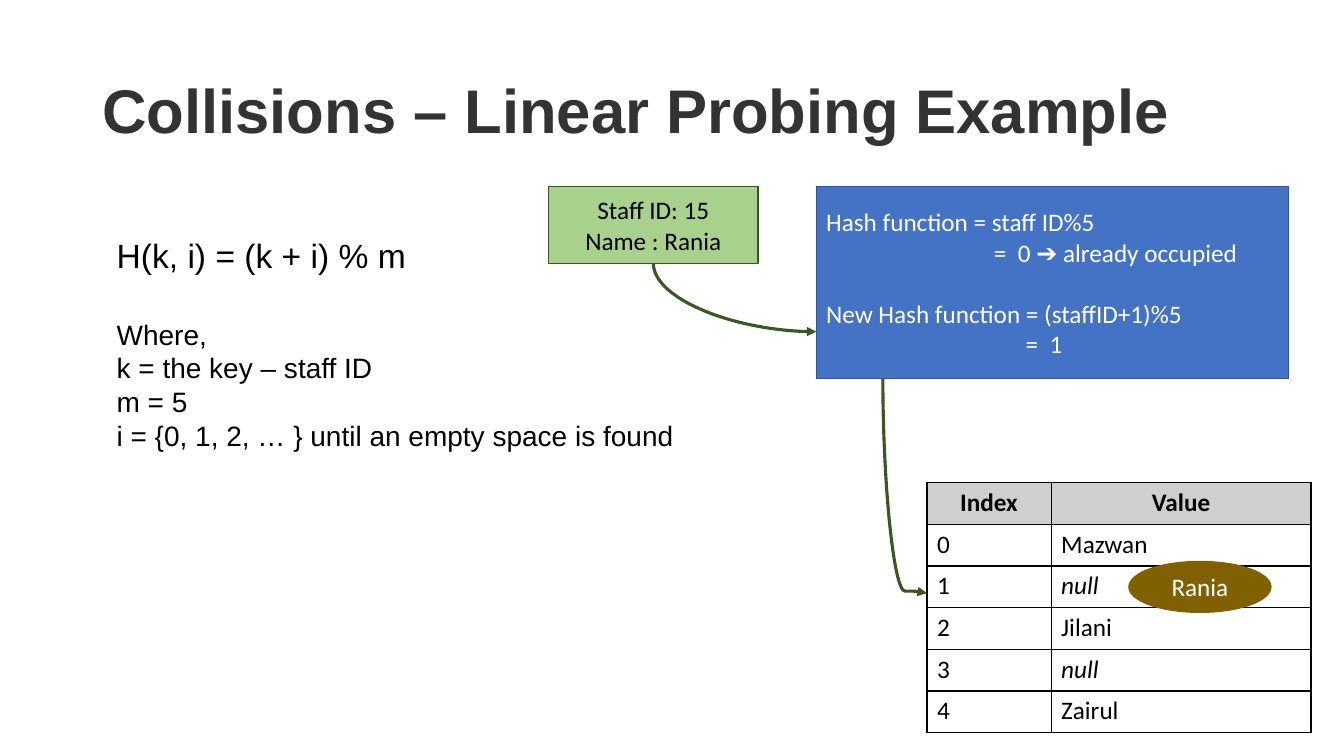
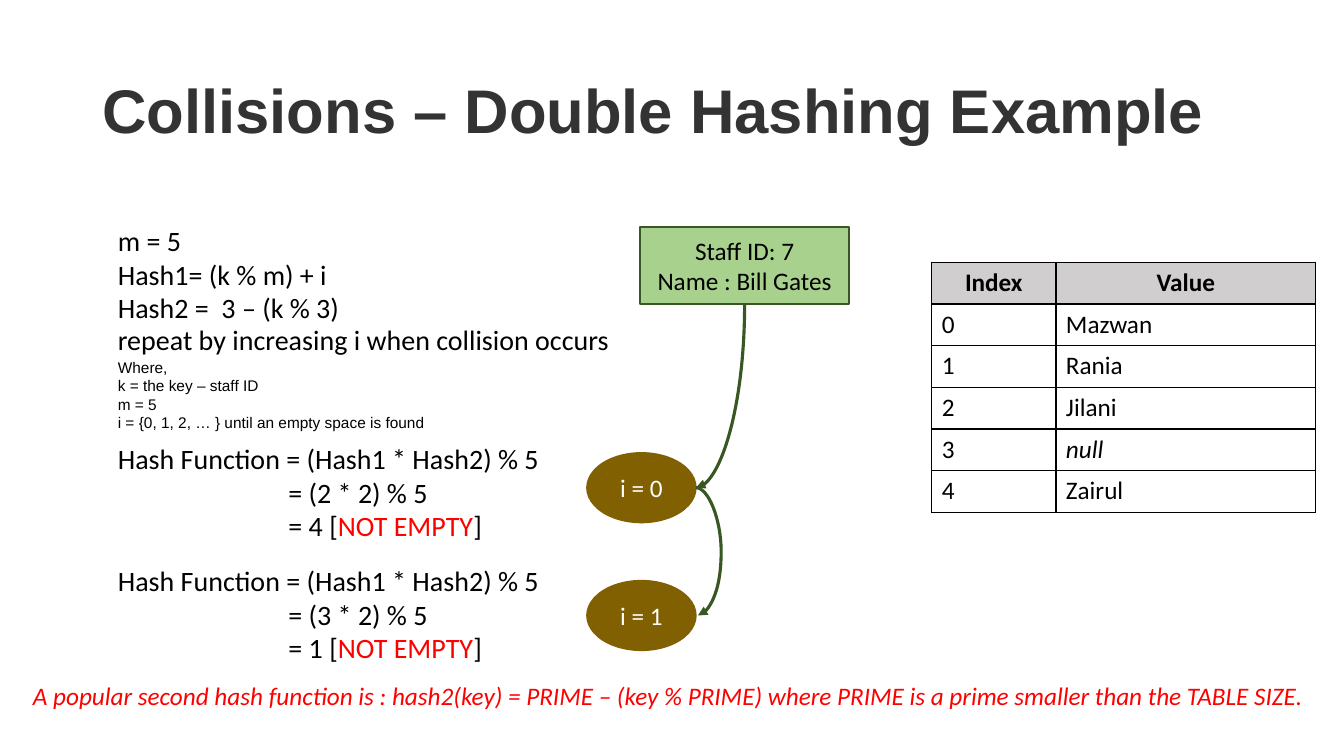
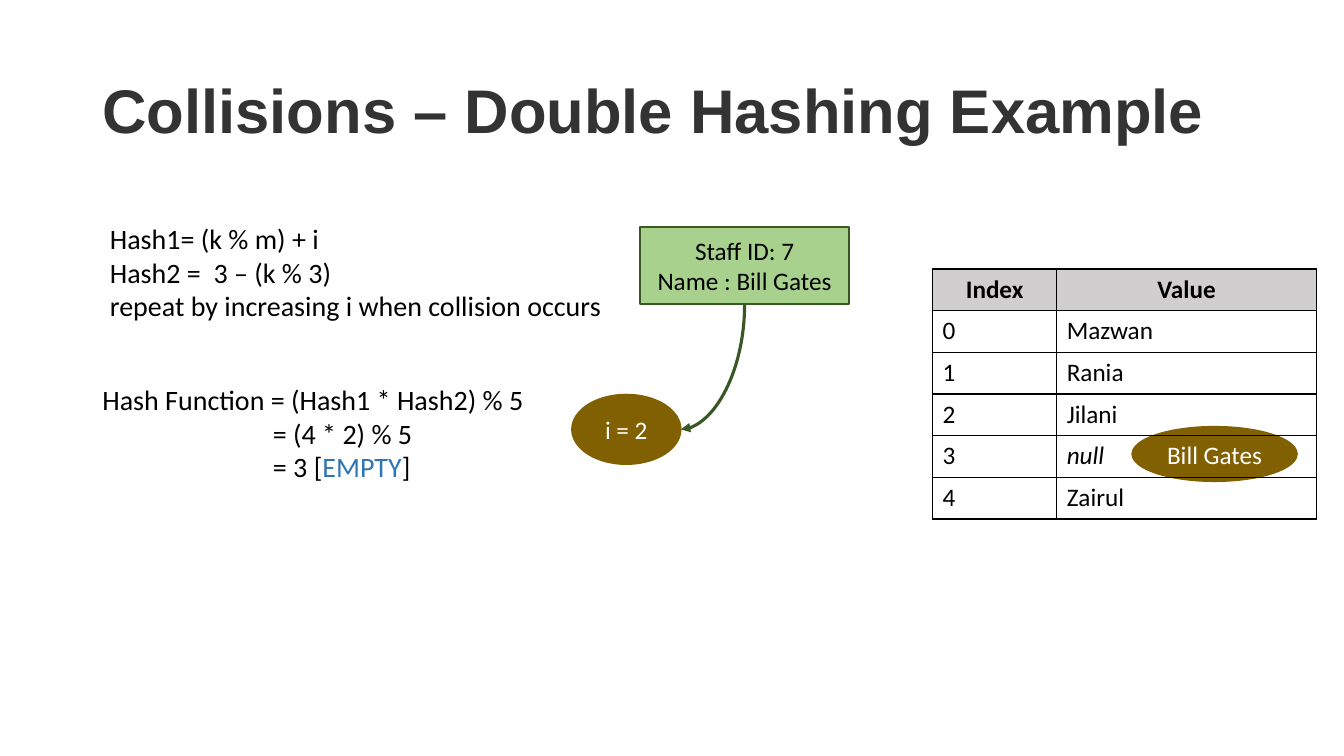
from dataclasses import dataclass
from typing import NamedTuple, Optional, Sequence, Union

from lxml import etree
from pptx import Presentation
from pptx import util as u
from pptx.dml.color import RGBColor
from pptx.enum import shapes, text
from pptx.oxml import ns

Cm = u.Cm
COLORS = {
    "ink": "000000", "title": "333333", "white": "FFFFFF", "red": "FF0000",
    "blue": "2E75B6", "header": "D0CECE", "card": "A9D18E", "green": "385723",
    "panel": "4472C4", "panel_line": "325491", "brown": "806000",
}
CENTER = text.PP_ALIGN.CENTER
EQUALS_INDENT = 4.3
BADGE_SIZE = (2.75, 1.76)
CARD_SIZE = (5.27, 1.94)
FORMULA_SIZE = (11.23, 2.82)
DOUBLE_HASH = ["Hash1= (k % m) + i", "Hash2 =  3 – (k % 3)"]
REPEAT = "repeat by increasing i when collision occurs"
WHERE = ["Where,", "k = the key – staff ID", "m = 5",
         "i = {0, 1, 2, … } until an empty space is found"]


class Box(NamedTuple):
    """Left, top, width and height in centimetres."""
    left: float
    top: float
    width: float
    height: float

    def lengths(self) -> list:
        return [Cm(value) for value in self]


class Point(NamedTuple):
    x: float
    y: float


class Run(NamedTuple):
    text: str
    color: Optional[str] = None


@dataclass
class Line:
    runs: Sequence[Run]
    indent: float = 0
    before: float = 0


@dataclass
class ShapeStyle:
    preset: shapes.MSO_SHAPE
    fill: str
    line: str
    color: str
    align: Optional[text.PP_ALIGN] = CENTER
    margin: float = 0.25


CARD = ShapeStyle(shapes.MSO_SHAPE.RECTANGLE, "card", "green", "ink")
PANEL = ShapeStyle(shapes.MSO_SHAPE.RECTANGLE, "panel", "panel_line", "white", None)
BADGE = ShapeStyle(shapes.MSO_SHAPE.OVAL, "brown", "brown", "white", margin=0)

Lines = Sequence[Union[str, Line]]


def rgb(name: str) -> RGBColor:
    return RGBColor.from_string(COLORS[name])


def write(frame, lines: Lines, *, size: float = 18, font: str = "Calibri",
          color: str = "ink", bold: bool = False, italic: bool = False,
          align=None, spacing: Optional[float] = None) -> None:
    """Fill a text frame, one paragraph for each line."""
    for number, entry in enumerate(lines):
        line = Line([Run(entry)]) if isinstance(entry, str) else entry
        paragraph = frame.add_paragraph() if number else frame.paragraphs[0]
        paragraph.alignment = align
        if spacing:
            paragraph.line_spacing = spacing
        if line.before:
            paragraph.space_before = u.Pt(line.before)
        if line.indent:
            properties = paragraph._p.get_or_add_pPr()
            properties.set("marL", str(Cm(line.indent)))
            properties.set("indent", "0")
        for part in line.runs:
            run = paragraph.add_run()
            run.text = part.text
            run.font.name = font
            run.font.size = u.Pt(size)
            run.font.bold = bold
            run.font.italic = italic
            run.font.color.rgb = rgb(part.color or color)


def add_text(slide, box: Box, lines: Lines, *, anchor=text.MSO_ANCHOR.TOP, **style) -> None:
    frame = slide.shapes.add_textbox(*box.lengths()).text_frame
    frame.word_wrap = True
    frame.vertical_anchor = anchor
    write(frame, lines, **style)


def add_shape(slide, box: Box, style: ShapeStyle, lines: Lines) -> None:
    shape = slide.shapes.add_shape(style.preset, *box.lengths())
    shape.shadow.inherit = False
    shape.fill.solid()
    shape.fill.fore_color.rgb = rgb(style.fill)
    shape.line.color.rgb = rgb(style.line)
    shape.line.width = u.Pt(1)
    frame = shape.text_frame
    frame.word_wrap = True
    frame.vertical_anchor = text.MSO_ANCHOR.MIDDLE
    frame.margin_left = frame.margin_right = Cm(style.margin)
    write(frame, lines, color=style.color, align=style.align or text.PP_ALIGN.LEFT)


def add_card(slide, left: float, top: float, staff_id: int, name: str) -> Point:
    """Draw a staff card and return the middle of its lower edge."""
    width, height = CARD_SIZE
    add_shape(slide, Box(left, top, width, height), CARD,
              [f"Staff ID: {staff_id}", f"Name : {name}"])
    return Point(left + width / 2, top + height)


def add_badge(slide, left: float, top: float, step: int) -> Point:
    """Draw a probe step and return the middle of its right edge."""
    width, height = BADGE_SIZE
    add_shape(slide, Box(left, top, width, height), BADGE, [f"i = {step}"])
    return Point(left + width, top + height / 2)


def add_formula(slide, left: float, top: float, step: int, result: int,
                state: str, color: str) -> None:
    add_text(slide, Box(left, top, *FORMULA_SIZE), [
        "Hash Function = (Hash1 * Hash2) % 5",
        Line([Run(f"= ({step + 2} * 2) % 5")], EQUALS_INDENT),
        Line([Run(f"= {result} ["), Run(state, color), Run("]")], EQUALS_INDENT),
    ], size=20)


def add_curve(slide, start: Point, end: Point, *, downward: bool = True,
              bend: Optional[float] = None) -> None:
    """Draw a curved arrow; bend places the middle of an S or C curve."""
    connector = slide.shapes.add_connector(
        shapes.MSO_CONNECTOR.CURVE, *[Cm(value) for value in (*start, *end)])
    connector.line.color.rgb = rgb("green")
    connector.line.width = u.Pt(2.25)
    properties = connector._element.spPr
    etree.SubElement(properties.find(ns.qn("a:ln")), ns.qn("a:tailEnd"), type="triangle")
    etree.SubElement(properties, ns.qn("a:effectLst"))

    geometry = properties.find(ns.qn("a:prstGeom"))
    if bend is None:
        geometry.set("prst", "curvedConnector2")
    else:
        guides = geometry.find(ns.qn("a:avLst"))
        if guides is None:
            guides = etree.SubElement(geometry, ns.qn("a:avLst"))
        etree.SubElement(guides, ns.qn("a:gd"), name="adj1",
                         fmla=f"val {round(bend * 100000)}")

    # A curve that leaves downward is a quarter turn about its centre
    if downward:
        width, height = abs(end.x - start.x), abs(end.y - start.y)
        connector.left = Cm((start.x + end.x - height) / 2)
        connector.top = Cm((start.y + end.y - width) / 2)
        connector.width, connector.height = Cm(height), Cm(width)
        frame = properties.find(ns.qn("a:xfrm"))
        frame.attrib.pop("flipH", None)
        rightward = end.x > start.x
        frame.set("rot", str((270 if rightward else 90) * 60000))
        if rightward:
            frame.set("flipH", "1")


def add_borders(cell) -> None:
    properties = cell._tc.get_or_add_tcPr()
    for position, side in enumerate(("lnL", "lnR", "lnT", "lnB")):
        border = etree.Element(ns.qn(f"a:{side}"), w=str(u.Pt(1)))
        fill = etree.SubElement(border, ns.qn("a:solidFill"))
        etree.SubElement(fill, ns.qn("a:srgbClr"), val=COLORS["ink"])
        properties.insert(position, border)


def add_hash_table(slide, left: float, top: float, values: Sequence[str]) -> None:
    widths, row_height = (3.13, 6.55), 1.05
    rows = [("Index", "Value"), *((str(i), value) for i, value in enumerate(values))]
    box = Box(left, top, sum(widths), row_height * len(rows))
    table = slide.shapes.add_table(len(rows), len(widths), *box.lengths()).table
    table.first_row = table.horz_banding = False
    for column, width in zip(table.columns, widths):
        column.width = Cm(width)
    for row_number, row in enumerate(rows):
        is_header = row_number == 0
        table.rows[row_number].height = Cm(row_height)
        for column_number, value in enumerate(row):
            cell = table.cell(row_number, column_number)
            if is_header:
                cell.fill.solid()
                cell.fill.fore_color.rgb = rgb("header")
            else:
                cell.fill.background()
            add_borders(cell)
            write(cell.text_frame, [value], bold=is_header, italic=value == "null",
                  align=CENTER if is_header else None)


def add_slide(presentation, title: str):
    slide = presentation.slides.add_slide(presentation.slide_layouts[6])
    add_text(slide, Box(2.33, 1.01, 29.21, 3.68), [title],
             anchor=text.MSO_ANCHOR.MIDDLE, size=44, font="Arial",
             color="title", bold=True, spacing=0.9)
    return slide


def linear_probing(presentation) -> None:
    slide = add_slide(presentation, "Collisions – Linear Probing Example")
    # Definition
    add_text(slide, Box(2.69, 5.79, 7.87, 1.28), ["H(k, i) = (k + i) % m"],
             size=24, font="Arial")
    add_text(slide, Box(2.69, 7.87, 14.63, 3.68), WHERE, size=20, font="Arial")
    # Table, staff card and calculation
    table_left = 23.36
    add_hash_table(slide, table_left, 12.16, ["Mazwan", "null", "Jilani", "null", "Zairul"])
    card_bottom = add_card(slide, 13.83, 4.7, 15, "Rania")
    panel = Box(20.57, 4.7, 11.91, 4.84)
    add_shape(slide, panel, PANEL, [
        "Hash function = staff ID%5",
        Line([Run("=  0 ➔ already occupied")], 4.23),
        Line([Run("New Hash function = (staffID+1)%5")], before=22),
        Line([Run("=  1")], 5.03),
    ])
    # Path to the free row
    add_curve(slide, card_bottom, Point(panel.left, 8.36))
    add_curve(slide, Point(22.25, panel.top + panel.height),
              Point(table_left, 14.95), bend=0.99)
    add_shape(slide, Box(28.45, 14.15, 3.58, 1.28), BADGE, ["Rania"])


def double_hashing_collisions(presentation) -> None:
    slide = add_slide(presentation, "Collisions – Double Hashing Example")
    left = 2.72
    add_hash_table(slide, 23.48, 6.61, ["Mazwan", "Rania", "Jilani", "null", "Zairul"])
    card_bottom = add_card(slide, 16.13, 5.72, 7, "Bill Gates")
    # Definition
    add_text(slide, Box(left, 5.51, 6.15, 2.82), ["m = 5", *DOUBLE_HASH], size=20)
    add_text(slide, Box(left, 8, 13, 1.11), [REPEAT], size=20)
    add_text(slide, Box(left, 8.89, 10.57, 2.13), WHERE, size=11, font="Arial")
    # Two probes, both on occupied rows
    probes = []
    for step, result in enumerate((4, 1)):
        add_formula(slide, left, 11 + 3.08 * step, step, result, "NOT EMPTY", "red")
        probes.append(add_badge(slide, 14.79, 11.41 + 3.22 * step, step))
    first, second = probes
    add_curve(slide, card_bottom, first)
    add_curve(slide, first, Point(second.x + 0.05, second.y), downward=False, bend=12.7)
    add_text(slide, Box(0.58, 17.01, 32.57, 1.02), [
        "A popular second hash function is : hash2(key) = PRIME – (key % PRIME) "
        "where PRIME is a prime smaller than the TABLE SIZE."], color="red", italic=True)


def double_hashing_result(presentation) -> None:
    slide = add_slide(presentation, "Collisions – Double Hashing Example")
    add_text(slide, Box(2.52, 5.46, 13, 2.82), [*DOUBLE_HASH, REPEAT], size=20)
    add_formula(slide, 2.33, 9.52, 2, 3, "EMPTY", "blue")
    # The new name lies behind the table's grid
    add_shape(slide, Box(28.53, 10.75, 4.16, 1.38), BADGE, ["Bill Gates"])
    probe = add_badge(slide, 14.41, 9.94, 2)
    add_hash_table(slide, 23.5, 6.78, ["Mazwan", "Rania", "Jilani", "null", "Zairul"])
    card_bottom = add_card(slide, 16.13, 5.72, 7, "Bill Gates")
    add_curve(slide, card_bottom, probe)


def main() -> None:
    presentation = Presentation()
    presentation.slide_width, presentation.slide_height = Cm(33.87), Cm(19.05)
    linear_probing(presentation)
    double_hashing_collisions(presentation)
    double_hashing_result(presentation)
    presentation.save("out.pptx")


if __name__ == "__main__":
    main()
